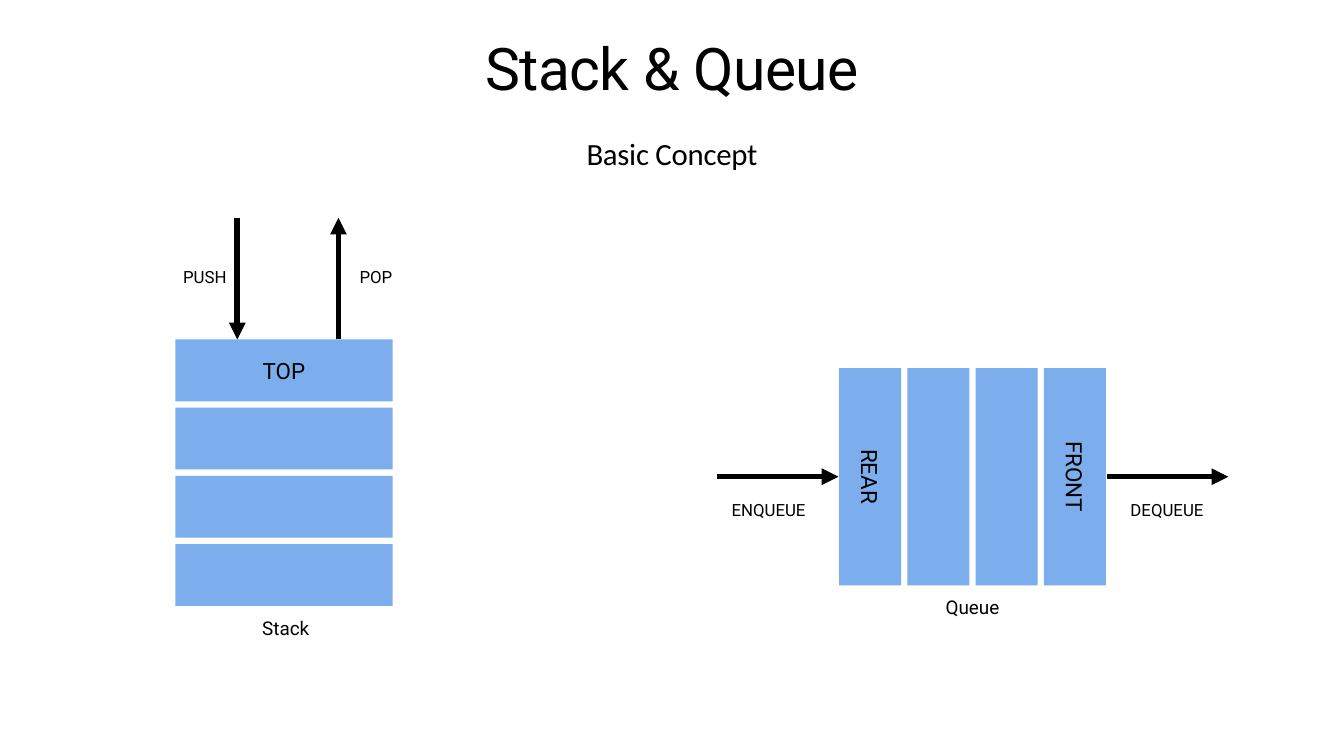
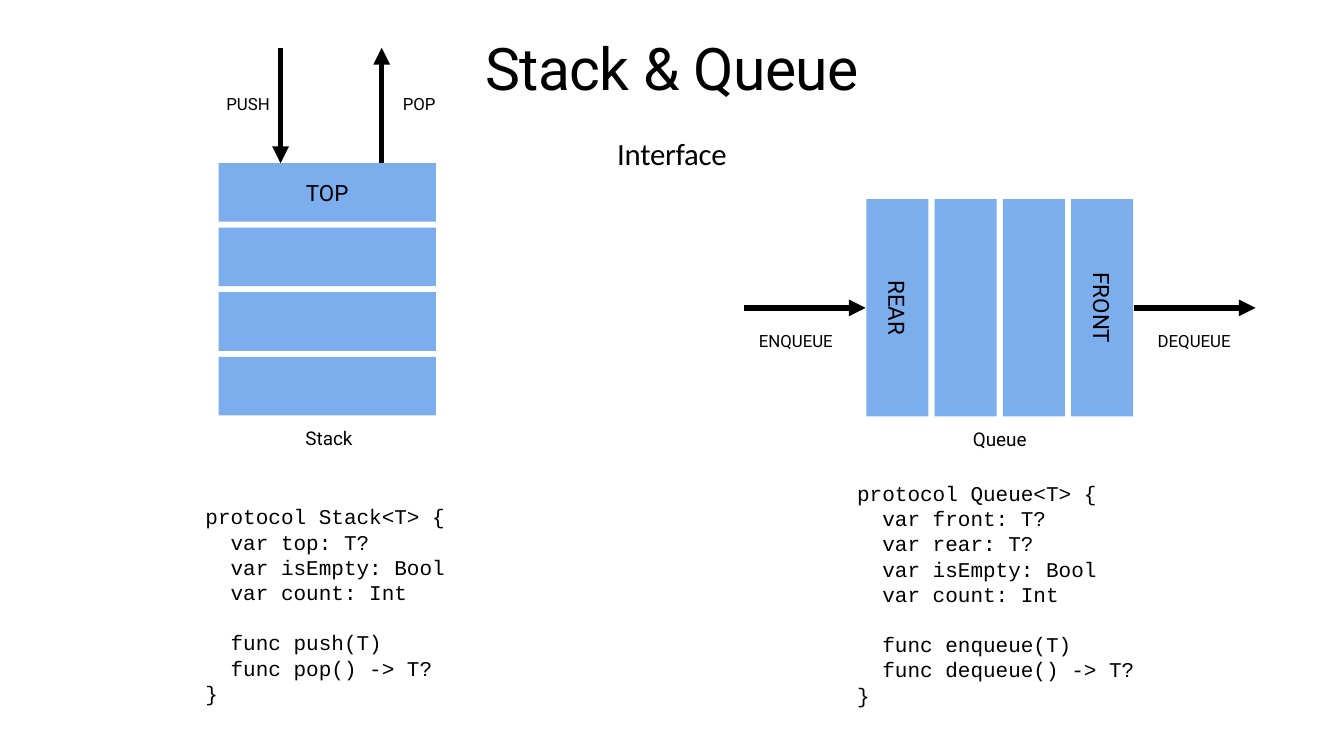
from lxml import etree
from pptx import Presentation
from pptx import util as u
from pptx.dml.color import RGBColor
from pptx.enum import shapes, text
from pptx.oxml.ns import qn

Pt = u.Pt
BLACK = "000000"
BLUE = "7CADED"
INSET = 4.5
BLOCK_COUNT = 4
LABEL_HEIGHT = 44
CAPTION_HEIGHT = 47.5

STACK_CODE = ["protocol Stack<T> {", "var top: T?", "var isEmpty: Bool", "var count: Int",
              "func push(T)", "func pop() -> T?", "}"]
QUEUE_CODE = ["protocol Queue<T> {", "var front: T?", "var rear: T?", "var isEmpty: Bool",
              "var count: Int", "func enqueue(T)", "func dequeue() -> T?", "}"]


def color(value):
    return RGBColor.from_string(value)


def fill_frame(shape, lines, size, font="Roboto", align=text.PP_ALIGN.CENTER,
               anchor=text.MSO_ANCHOR.MIDDLE, wrap=True, spacing=None, tracking=None):
    frame = shape.text_frame
    frame.word_wrap = wrap
    frame.vertical_anchor = anchor
    frame.margin_left = frame.margin_right = Pt(INSET)
    frame.margin_top = frame.margin_bottom = Pt(INSET)
    frame.text = "\n".join(lines)
    for paragraph in frame.paragraphs:
        paragraph.alignment = align
        paragraph.line_spacing = spacing
        paragraph.font.size = Pt(size)
        paragraph.font.name = font
        paragraph.font.color.rgb = color(BLACK)
        if tracking:
            properties = paragraph._p.get_or_add_pPr().get_or_add_defRPr()
            properties.set("spc", str(round(tracking * 100)))
    return frame


def add_text(parent, left, top, width, height, lines, size, **style):
    shape = parent.shapes.add_textbox(Pt(left), Pt(top), Pt(width), Pt(height))
    return fill_frame(shape, lines, size, **style)


def add_label(parent, left, top, width, label):
    add_text(parent, left, top, width, LABEL_HEIGHT, [label], 24, wrap=False, spacing=0.9)


def add_caption(parent, left, top, width, caption):
    add_text(parent, left, top, width, CAPTION_HEIGHT, [caption], 27)


def add_block(parent, left, top, width, height, label="", rotation=0):
    shape = parent.shapes.add_shape(shapes.MSO_SHAPE.RECTANGLE,
                                    Pt(left), Pt(top), Pt(width), Pt(height))
    shape.shadow.inherit = False
    shape.fill.solid()
    shape.fill.fore_color.rgb = color(BLUE)
    shape.line.fill.background()
    shape.rotation = rotation
    if label:
        fill_frame(shape, [label], 32)


def add_arrow(parent, x1, y1, x2, y2):
    connector = parent.shapes.add_connector(shapes.MSO_CONNECTOR.STRAIGHT,
                                            Pt(x1), Pt(y1), Pt(x2), Pt(y2))
    connector.line.width = Pt(8)
    connector.line.color.rgb = color(BLACK)
    etree.SubElement(connector.line._get_or_add_ln(), qn("a:tailEnd"), type="triangle")
    etree.SubElement(connector._element.spPr, qn("a:effectLst"))


def add_heading(slide, left, top, width, subtitle):
    add_text(slide, left, top, width, 136, ["Stack & Queue"], 84,
             anchor=text.MSO_ANCHOR.TOP, spacing=0.8, tracking=-0.8)
    add_text(slide, left, top + 127, width, 65.5, [subtitle], 44, font="Calibri",
             anchor=text.MSO_ANCHOR.TOP, tracking=-0.4)


def add_stack(slide, left, top, height):
    group = slide.shapes.add_group_shape()
    width = 310.4
    arrow = 0.309 * height
    block = 0.157 * height
    pitch = 0.173 * height
    for index in range(BLOCK_COUNT):
        add_block(group, left, top + arrow + index * pitch, width, block,
                  "" if index else "TOP")
    push_x, pop_x = left + 88.5, left + 233
    label_top = top + 0.154 * height - LABEL_HEIGHT / 2
    add_arrow(group, push_x, top, push_x, top + arrow)
    add_label(group, left + 5.8, label_top, 72.7, "PUSH")
    add_arrow(group, pop_x, top + arrow, pop_x, top)
    add_label(group, left + 257.8, label_top, 57.6, "POP")
    add_caption(group, left - 4.3, top + height, 324, "Stack")


def add_queue(slide, left, top, width):
    group = slide.shapes.add_group_shape()
    length, thickness, pitch, arrow = 310.4, 88.6, 97.5, 174
    middle = top + length / 2
    labels = {0: "REAR", BLOCK_COUNT - 1: "FRONT"}
    for index in range(BLOCK_COUNT):
        center = left + arrow + 1 + thickness / 2 + index * pitch
        add_block(group, center - length / 2, middle - thickness / 2, length, thickness,
                  labels.get(index, ""), 90)
    for start in (left, left + width - arrow):
        add_arrow(group, start, middle, start + arrow, middle)
    label_top = top + 182
    add_label(group, left + 10.8, label_top, 126.7, "ENQUEUE")
    add_label(group, left + 579.6, label_top, 127.4, "DEQUEUE")
    add_caption(group, left, top + 318.2, width, "Queue")


def add_code(slide, left, top, width, height, lines):
    frame = add_text(slide, left, top, width, height, lines, 30, font="Courier New",
                     align=text.PP_ALIGN.LEFT, spacing=Pt(36))
    for paragraph in frame.paragraphs[1:-1]:
        paragraph._p.get_or_add_pPr().set("indent", str(Pt(36)))
    first_function = next(p for p in frame.paragraphs if p.text.startswith("func"))
    first_function.space_before = Pt(36)


def add_concept_slide(presentation):
    slide = presentation.slides.add_slide(presentation.slide_layouts[6])
    add_heading(slide, 96, 61, 1728, "Basic Concept")
    add_stack(slide, 250.5, 311, 563)
    add_queue(slide, 1023.8, 525.8, 731)


def add_interface_slide(presentation):
    slide = presentation.slides.add_slide(presentation.slide_layouts[6])
    add_heading(slide, 96, 61, 1728, "Interface")
    add_stack(slide, 312.3, 68.4, 533)
    add_queue(slide, 1062.7, 284.6, 731)
    add_code(slide, 289, 716, 361, 296, STACK_CODE)
    add_code(slide, 1220, 682.5, 416, 332, QUEUE_CODE)


presentation = Presentation()
presentation.slide_width = Pt(1920)
presentation.slide_height = Pt(1080)
add_concept_slide(presentation)
add_interface_slide(presentation)
presentation.save("out.pptx")
